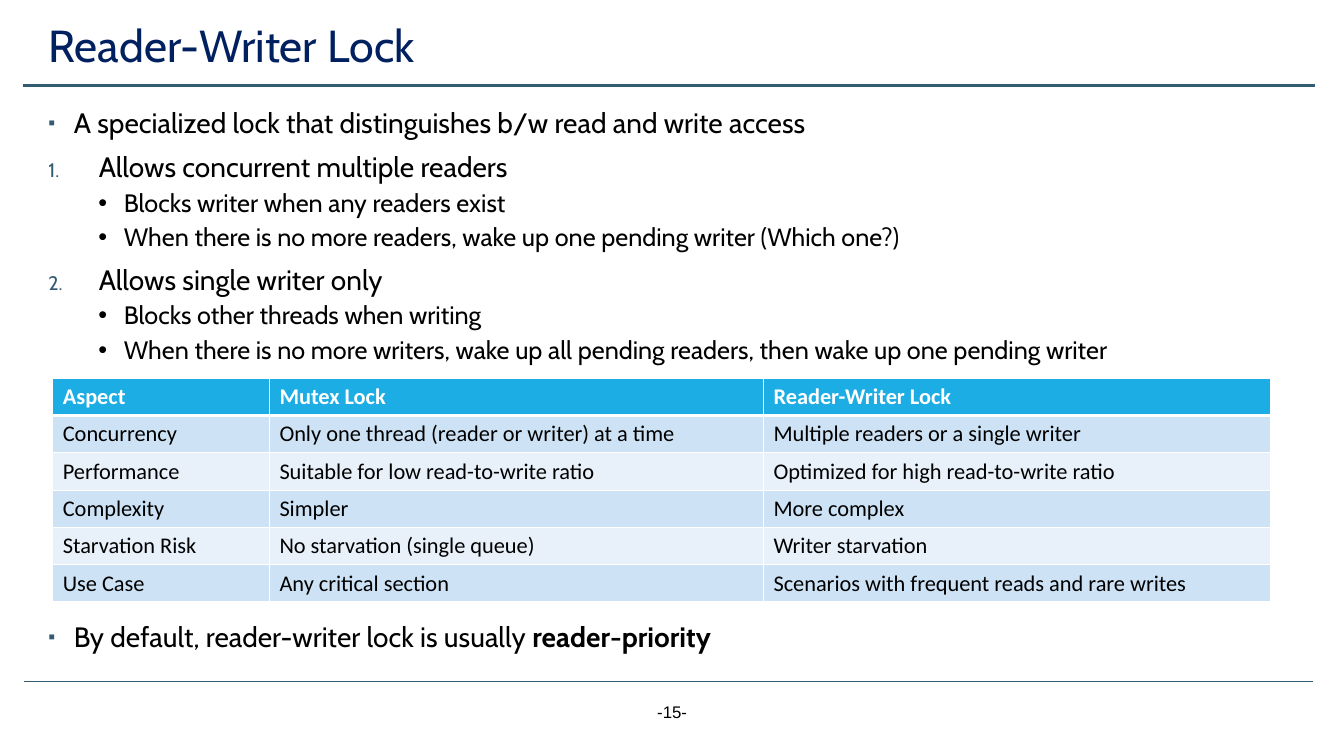
from lxml import etree
from pptx import Presentation
from pptx.dml.color import RGBColor
from pptx.enum.shapes import MSO_CONNECTOR
from pptx.enum.text import MSO_ANCHOR, PP_ALIGN
from pptx.oxml.ns import qn
from pptx.util import Cm, Pt

STRAIGHT = MSO_CONNECTOR.STRAIGHT
TOP = MSO_ANCHOR.TOP
CENTER = PP_ALIGN.CENTER

NAVY = RGBColor(0x00, 0x20, 0x60)
SLATE = RGBColor(0x33, 0x5B, 0x74)
BLACK = RGBColor(0x00, 0x00, 0x00)
WHITE = RGBColor(0xFF, 0xFF, 0xFF)
HEADER_BLUE = RGBColor(0x1C, 0xAD, 0xE4)
BANDS = [RGBColor(0xE8, 0xF1, 0xFA), RGBColor(0xCD, 0xE3, 0xF5)]

TITLE = "Reader-Writer Lock"
PAGE_NUMBER = "-15-"
LOCK_RULES = [
    ("square", "A specialized lock that distinguishes b/w read and write access"),
    ("number", "Allows concurrent multiple readers"),
    ("dot", "Blocks writer when any readers exist"),
    ("dot", "When there is no more readers, wake up one pending writer (Which one?)"),
    ("number", "Allows single writer only"),
    ("dot", "Blocks other threads when writing"),
    ("dot", "When there is no more writers, wake up all pending readers, "
            "then wake up one pending writer"),
]
DEFAULT_POLICY = [("square", "By default, reader-writer lock is usually ")]
POLICY_NAME = "reader-priority"
COMPARISON = [
    ("Aspect", "Mutex Lock", "Reader-Writer Lock"),
    ("Concurrency", "Only one thread (reader or writer) at a time",
     "Multiple readers or a single writer"),
    ("Performance", "Suitable for low read-to-write ratio",
     "Optimized for high read-to-write ratio"),
    ("Complexity", "Simpler", "More complex"),
    ("Starvation Risk", "No starvation (single queue)", "Writer starvation"),
    ("Use Case", "Any critical section",
     "Scenarios with frequent reads and rare writes"),
]
COLUMN_WIDTHS = [5.46, 12.45, 12.78]
ROW_HEIGHT = 0.94
RULES = [(0.58, 33.15, 2.16, 1.75), (0.61, 33.1, 17.17, 0.5)]

# marker: level, left margin, hanging indent, size, space before
MARKERS = {
    "square": (0, 0.64, 0.64, 20, 10),
    "number": (0, 1.27, 1.27, 20, 10),
    "dot": (1, 1.9, 0.64, 18, 5),
}


def add_bullet(paragraph, marker):
    level, margin, hanging, _, _ = MARKERS[marker]
    paragraph.level = level
    properties = paragraph._p.get_or_add_pPr()
    properties.set("marL", str(Cm(margin)))
    properties.set("indent", str(-Cm(hanging)))
    if marker != "dot":
        color = etree.SubElement(properties, qn("a:buClr"))
        etree.SubElement(color, qn("a:srgbClr"), val=str(SLATE))
        etree.SubElement(properties, qn("a:buSzPct"), val="70000")
    if marker == "number":
        etree.SubElement(properties, qn("a:buAutoNum"), type="arabicPeriod")
    else:
        etree.SubElement(properties, qn("a:buFont"), typeface="Arial")
        etree.SubElement(properties, qn("a:buChar"),
                         char="▪" if marker == "square" else "•")


def style(paragraph, font_name, size, color, bold=False):
    for run in paragraph.runs:
        run.font.name = font_name
        run.font.size = Pt(size)
        run.font.color.rgb = color
        run.font.bold = bold


def add_text(slide, left, top, width, height):
    frame = slide.shapes.add_textbox(Cm(left), Cm(top), Cm(width), Cm(height)).text_frame
    frame.word_wrap = True
    frame.vertical_anchor = TOP
    return frame


def add_points(slide, points, top, height):
    frame = add_text(slide, 0.97, top, 31.57, height)
    frame.text = "\n".join(text for _, text in points)
    for index, (paragraph, (marker, _)) in enumerate(zip(frame.paragraphs, points)):
        add_bullet(paragraph, marker)
        size, before = MARKERS[marker][3:]
        paragraph.line_spacing = 0.9
        paragraph.space_before = Pt(before if index else 0)
        style(paragraph, "Cabin", size, BLACK)
    return frame


def add_borders(cell, is_header):
    properties = cell._tc.get_or_add_tcPr()
    for side in ("L", "R", "T", "B"):
        width = Pt(3 if is_header and side == "B" else 1)
        border = etree.SubElement(properties, qn("a:ln" + side), w=str(width))
        fill = etree.SubElement(border, qn("a:solidFill"))
        etree.SubElement(fill, qn("a:srgbClr"), val=str(WHITE))


def add_comparison(slide):
    table = slide.shapes.add_table(
        len(COMPARISON), len(COLUMN_WIDTHS), Cm(1.33), Cm(9.53),
        Cm(sum(COLUMN_WIDTHS)), Cm(ROW_HEIGHT * len(COMPARISON))).table
    for column, width in zip(table.columns, COLUMN_WIDTHS):
        column.width = Cm(width)
    for row_index, texts in enumerate(COMPARISON):
        is_header = row_index == 0
        table.rows[row_index].height = Cm(ROW_HEIGHT)
        for column_index, text in enumerate(texts):
            cell = table.cell(row_index, column_index)
            cell.text_frame.text = text
            style(cell.text_frame.paragraphs[0], "Calibri", 16,
                  WHITE if is_header else BLACK, is_header)
            add_borders(cell, is_header)
            cell.fill.solid()
            cell.fill.fore_color.rgb = HEADER_BLUE if is_header else BANDS[row_index % 2]


def main():
    presentation = Presentation()
    presentation.slide_width = Cm(33.87)
    presentation.slide_height = Cm(19.05)
    slide = presentation.slides.add_slide(presentation.slide_layouts[5])

    for left, right, y, weight in RULES:
        rule = slide.shapes.add_connector(STRAIGHT, Cm(left), Cm(y), Cm(right), Cm(y))
        rule.line.color.rgb = SLATE
        rule.line.width = Pt(weight)
        etree.SubElement(rule._element.spPr, qn("a:effectLst"))

    title = slide.shapes.title
    title.left, title.top, title.width, title.height = Cm(0.97), Cm(0.48), Cm(31.57), Cm(1.6)
    title.text_frame.text = TITLE
    title.text_frame.vertical_anchor = TOP
    heading = title.text_frame.paragraphs[0]
    heading.alignment = PP_ALIGN.LEFT
    heading.line_spacing = 0.9
    style(heading, "Cabin", 32, NAVY)

    add_points(slide, LOCK_RULES, 2.62, 6.8)
    policy = add_points(slide, DEFAULT_POLICY, 15.57, 1.1).paragraphs[0]
    policy.add_run().text = POLICY_NAME
    style(policy, "Cabin", 20, BLACK)
    policy.runs[-1].font.bold = True

    add_comparison(slide)

    footer = add_text(slide, 13.13, 17.55, 7.62, 1.02)
    footer.text = PAGE_NUMBER
    footer.paragraphs[0].alignment = CENTER
    style(footer.paragraphs[0], "Arial", 12, BLACK)

    presentation.save("out.pptx")


if __name__ == "__main__":
    main()
